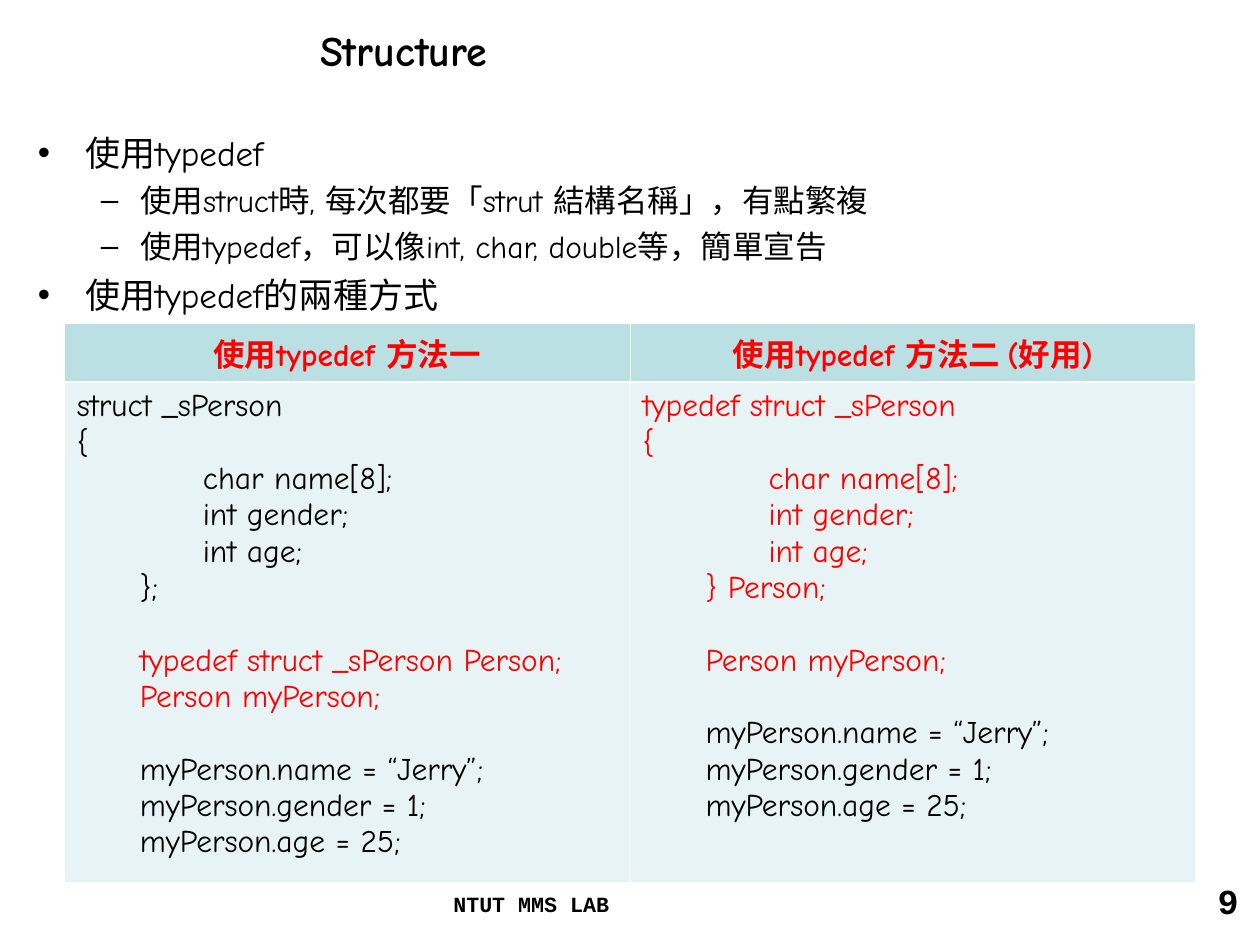
from lxml import etree
from pptx import Presentation
from pptx import util as u
from pptx.dml.color import RGBColor
from pptx.enum import text
from pptx.oxml.ns import qn

BLACK = RGBColor(0x00, 0x00, 0x00)
RED = RGBColor(0xFF, 0x00, 0x00)
HEADER_FILL = RGBColor(0xBB, 0xE0, 0xE3)
CODE_FILL = RGBColor(0xE7, 0xF3, 0xF4)
HAND_FONT, MONO_FONT = "Comic Neue", "Courier New"
CODE_LINE = u.Pt(20.7)
THIN, THICK = u.Pt(0.45), u.Pt(1.47)


def style(para, size, color=BLACK, bold=False, font=HAND_FONT):
    for span in para.runs:
        span.font.name = font
        span.font.size = u.Pt(size)
        span.font.bold = bold
        span.font.color.rgb = color


def set_borders(cell, top, bottom):
    props = cell._tc.get_or_add_tcPr()
    for side, width in (("L", THIN), ("R", THIN), ("T", top), ("B", bottom)):
        line = etree.SubElement(props, qn(f"a:ln{side}"), w=str(int(width)))
        fill = etree.SubElement(line, qn("a:solidFill"))
        etree.SubElement(fill, qn("a:srgbClr"), val="FFFFFF")


deck = Presentation()
deck.slide_width, deck.slide_height = u.Inches(10), u.Inches(7.5)
page = deck.slides.add_slide(deck.slide_layouts[1])

# Title
title = page.shapes.title
title.left, title.top = u.Inches(2.44), 0
title.width, title.height = deck.slide_width - title.left, u.Inches(0.79)
title.text_frame.text = "Structure"
title.text_frame.vertical_anchor = text.MSO_ANCHOR.MIDDLE
title.text_frame.paragraphs[0].alignment = text.PP_ALIGN.LEFT
style(title.text_frame.paragraphs[0], 24, bold=True)

# Bulleted list: (level, wording)
points = [
    (0, "使用typedef"),
    (1, "使用struct時, 每次都要「strut 結構名稱」，有點繁複"),
    (1, "使用typedef，可以像int, char, double等，簡單宣告"),
    (0, "使用typedef的兩種方式"),
]
body = page.placeholders[1]
body.left, body.top = u.Inches(0.2), u.Inches(0.99)
body.width, body.height = u.Inches(9.69), u.Inches(5.82)
body.text_frame.auto_size = text.MSO_AUTO_SIZE.NONE
body.text_frame.text = "\n".join(wording for level, wording in points)
for index, (para, (level, wording)) in enumerate(zip(body.text_frame.paragraphs, points)):
    size = 20 - 2 * level
    para.level = level
    para.space_before = u.Pt(size / 4 if index else 0)
    style(para, size)

# Table of the two ways: header, then groups of code lines with their colour
members = ["\tchar name[8];", "\tint gender;", "\tint age;"]
usage = (BLACK, ["myPerson.name = “Jerry”;", "myPerson.gender = 1;", "myPerson.age = 25;"])
methods = [
    ("使用typedef 方法一", [
        (BLACK, ["struct _sPerson", "{", *members, "};"]),
        (RED, ["typedef struct _sPerson Person;", "Person myPerson;"]),
        usage,
    ]),
    ("使用typedef 方法二 (好用)", [
        (RED, ["typedef struct _sPerson", "{", *members, "} Person;"]),
        (RED, ["Person myPerson;"]),
        usage,
    ]),
]
frame = page.shapes.add_table(2, len(methods), u.Inches(0.51), u.Inches(2.57),
                              u.Inches(8.98), u.Inches(4.43))
table = frame.table
table.rows[0].height, table.rows[1].height = u.Inches(0.46), u.Inches(3.97)

for column, (heading, groups) in enumerate(methods):
    header, code = table.cell(0, column), table.cell(1, column)
    set_borders(header, THIN, THICK)
    set_borders(code, THICK, THIN)
    for cell, color in ((header, HEADER_FILL), (code, CODE_FILL)):
        cell.fill.solid()
        cell.fill.fore_color.rgb = color

    header.text_frame.text = heading
    header.text_frame.paragraphs[0].alignment = text.PP_ALIGN.CENTER
    style(header.text_frame.paragraphs[0], 18, RED, bold=True)

    # One paragraph per code line; an empty line's space opens each later group
    lines = [(line, color, part > 0 and row == 0)
             for part, (color, group) in enumerate(groups)
             for row, line in enumerate(group)]
    code.text_frame.text = "\n".join(line for line, color, gap in lines)
    for number, (para, (line, color, gap)) in enumerate(zip(code.text_frame.paragraphs, lines)):
        props = para._p.get_or_add_pPr()
        if number > 1:
            props.set("marL", str(int(u.Inches(0.5))))
            props.set("indent", "0")
        if line.startswith("\t"):
            stops = etree.SubElement(props, qn("a:tabLst"))
            etree.SubElement(stops, qn("a:tab"), pos=str(int(u.Inches(1))), algn="l")
        if gap:
            para.space_before = CODE_LINE
        style(para, 18, color)

# Footer and page number
footers = [
    ("NTUT MMS LAB", 3.5, 7.06, 3.24, 0.32, 12.4, text.PP_ALIGN.LEFT, 0.8),
    ("9", 7.6, 6.93, 2.33, 0.52, 20, text.PP_ALIGN.RIGHT, 1.0),
]
for wording, left, top, width, height, size, alignment, spacing in footers:
    box = page.shapes.add_textbox(*map(u.Inches, (left, top, width, height)))
    box.text_frame.word_wrap = True
    box.text_frame.text = wording
    para = box.text_frame.paragraphs[0]
    para.alignment = alignment
    para.line_spacing = spacing
    style(para, size, bold=True, font=MONO_FONT)

deck.save("out.pptx")
